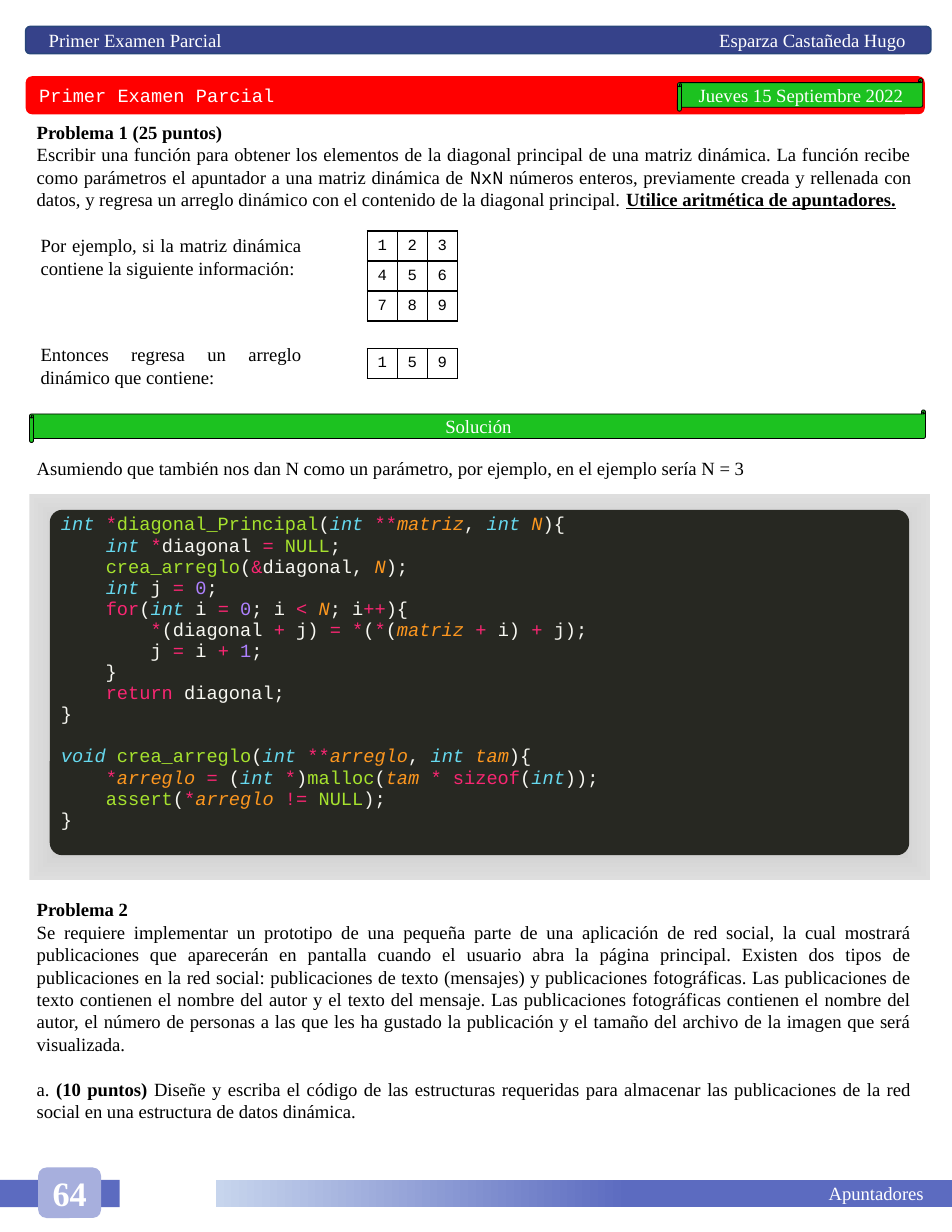
from pptx import Presentation
from pptx.dml.color import RGBColor
from pptx.enum.shapes import MSO_SHAPE
from pptx.enum.text import MSO_ANCHOR, PP_ALIGN
from pptx.oxml import parse_xml
from pptx.oxml.ns import nsdecls, qn
from pptx.util import Pt

COLORS = {
    "white": "FFFFFF", "black": "000000", "navy": "36428A", "navy_line": "28457A",
    "red": "FF0000", "green": "1CC220", "indigo": "5C6BC0", "lilac": "A7AFDD",
    "pale": "C7D5ED", "gray_in": "7B7B7B", "gray_mid": "BCBCBC", "gray_out": "DEDEDE",
    "editor": "272822",
}
# Syntax classes: type, operator, function, argument, number, plain
SYNTAX = {"t": "66D9EF", "o": "F92672", "f": "A6E22E",
          "a": "FD971F", "n": "AE81FF", "p": "F8F8F2"}
SERIF, MONO = "Times New Roman", "Courier New"
LINE = Pt(14.4)
NO_STYLE = "{2D5ABB26-0587-4C30-8999-92F81FD0307C}"

# Each code line is a list of class:text parts separated by ~
CODE = [
    "t:int ~o:*~f:diagonal_Principal~p:(~t:int ~o:**~a:matriz~p:, ~t:int ~a:N~p:){",
    "p:    ~t:int ~o:*~p:diagonal ~o:= ~f:NULL~p:;",
    "p:    ~f:crea_arreglo~p:(~o:&~p:diagonal, ~a:N~p:);",
    "p:    ~t:int~p: j ~o:= ~n:0~p:;",
    "p:    ~o:for~p:(~t:int~p: i ~o:= ~n:0~p:; i ~o:< ~a:N~p:; i~o:++~p:){",
    "p:        ~o:*~p:(diagonal ~o:+~p: j) ~o:= *~p:(~o:*~p:(~a:matriz ~o:+~p: i) ~o:+~p: j);",
    "p:        j ~o:=~p: i ~o:+ ~n:1~p:;",
    "p:    }",
    "p:    ~o:return~p: diagonal;",
    "p:}",
    "t:void ~f:crea_arreglo~p:(~t:int ~o:**~a:arreglo~p:, ~t:int ~a:tam~p:){",
    "p:    ~o:*~a:arreglo ~o:=~p: (~t:int ~o:*~p:)~f:malloc~p:(~a:tam ~o:* sizeof~p:(~t:int~p:));",
    "p:    ~f:assert~p:(~o:*~a:arreglo ~o:!= ~f:NULL~p:);",
    "p:}",
]


def rgb(name):
    return RGBColor.from_string(COLORS[name])


def set_font(font, color="black", name=SERIF, size=12, bold=False):
    font.name, font.size, font.bold = name, Pt(size), bold
    font.color.rgb = rgb(color)


def add_shape(s, kind, box, fill=None, line=None, weight=1):
    sp = s.shapes.add_shape(kind, *map(Pt, box))
    sp.shadow.inherit = False
    if fill:
        sp.fill.solid()
        sp.fill.fore_color.rgb = rgb(fill)
    if line:
        sp.line.color.rgb = rgb(line)
        sp.line.width = Pt(weight)
    else:
        sp.line.fill.background()
    return sp


def set_label(sp, text, align=PP_ALIGN.CENTER, **font):
    tf = sp.text_frame
    tf.vertical_anchor = MSO_ANCHOR.MIDDLE
    tf.margin_top = tf.margin_bottom = 0
    p = tf.paragraphs[0]
    p.text, p.alignment = text, align
    set_font(p.font, **{"color": "white", **font})
    return p


def set_gradient(sp, stops, direction):
    """Fill with (percent, color) stops and a direction element in XML."""
    gs = "".join(f'<a:gs pos="{pos * 1000}"><a:srgbClr val="{COLORS[c]}"/></a:gs>'
                 for pos, c in stops)
    sp.element.spPr.find(qn("a:prstGeom")).addnext(parse_xml(
        f'<a:gradFill {nsdecls("a")}><a:gsLst>{gs}</a:gsLst>{direction}</a:gradFill>'))


def add_text(s, box, paragraphs):
    """Justified text; each paragraph is a list of (text, style) runs."""
    tf = s.shapes.add_textbox(*map(Pt, box)).text_frame
    tf.word_wrap = True
    for i, runs in enumerate(paragraphs):
        p = tf.paragraphs[0] if i == 0 else tf.add_paragraph()
        p.alignment, p.line_spacing = PP_ALIGN.JUSTIFY, LINE
        set_font(p.font)
        for text, style in runs:
            r = p.add_run()
            r.text = text
            if style == "mono":
                r.font.name = MONO
            if "bold" in style:
                r.font.bold = True
            if "underline" in style:
                r.font.underline = True
    return tf


def add_plain_table(s, rows, cols, box):
    table = s.shapes.add_table(rows, cols, *map(Pt, box)).table
    table.first_row = table.horz_banding = False
    table._tbl.tblPr.find(qn("a:tableStyleId")).text = NO_STYLE
    return table


def add_array(s, box, values):
    table = add_plain_table(s, len(values), len(values[0]), box)
    for i, row in enumerate(values):
        for j, value in enumerate(row):
            cell = table.cell(i, j)
            cell.margin_left = cell.margin_right = 0
            cell.vertical_anchor = MSO_ANCHOR.MIDDLE
            cell.fill.background()
            p = cell.text_frame.paragraphs[0]
            p.text, p.alignment = str(value), PP_ALIGN.CENTER
            set_font(p.font, name=MONO, size=10)
            for k, side in enumerate("LRTB"):
                cell._tc.tcPr.insert(k, parse_xml(
                    f'<a:ln{side} {nsdecls("a")} w="12700"><a:solidFill>'
                    f'<a:srgbClr val="{COLORS["black"]}"/></a:solidFill></a:ln{side}>'))


def add_header(s, box):
    sp = add_shape(s, MSO_SHAPE.ROUNDED_RECTANGLE, box, "navy", "navy_line")
    sp.text_frame.margin_left = sp.text_frame.margin_right = Pt(14)
    p = set_label(sp, "", PP_ALIGN.LEFT)
    p._p.get_or_add_pPr().insert(0, parse_xml(
        f'<a:tabLst {nsdecls("a")}><a:tab pos="{Pt(551)}" algn="r"/></a:tabLst>'))
    p.text = "Primer Examen Parcial\tEsparza Castañeda Hugo"
    set_font(p.font, "white")


def add_scroll(s, box, text):
    set_label(add_shape(s, MSO_SHAPE.HORIZONTAL_SCROLL, box, "green", "black", 0.5), text)


def add_title_bar(s, box):
    x, y, w, h = box
    bar = add_shape(s, MSO_SHAPE.ROUNDED_RECTANGLE, box, "red")
    title = s.shapes.title
    title.left, title.top, title.width, title.height = map(Pt, (x + 1.5, y, w - 165, h))
    set_label(title, "Primer Examen Parcial", PP_ALIGN.LEFT, name=MONO)
    bar.element.addnext(title.element)
    add_scroll(s, (x + 419, y + 1.5, 157.7, 21), "Jueves 15 Septiembre 2022")


def add_examples(s, box):
    x, y, w, h = box
    items = [
        (0, 1.5, "Por ejemplo, si la matriz dinámica contiene la siguiente información:",
         [[1, 2, 3], [4, 5, 6], [7, 8, 9]]),
        (70, 77, "Entonces regresa un arreglo dinámico que contiene:", [[1, 5, 9]]),
    ]
    cell = 19.3
    for text_dy, array_dy, text, values in items:
        add_text(s, (x, y + text_dy, 182, 36), [[(text, "")]])
        add_array(s, (x + w - 3 * cell, y + array_dy, 3 * cell, cell * len(values)), values)


def add_code(s, box):
    x, y, w, h = box
    frame = add_shape(s, MSO_SHAPE.RECTANGLE, box)
    set_gradient(frame, [(11, "gray_in"), (61, "gray_mid"), (100, "gray_out")],
                 '<a:path path="rect"><a:fillToRect l="50000" t="50000" r="50000" b="50000"/></a:path>')
    inner = (x + 13, y + 10.3, w - 26.5, h - 26.5)
    panel = add_shape(s, MSO_SHAPE.ROUNDED_RECTANGLE, inner, "editor")
    panel.adjustments[0] = 0.036
    cell = add_plain_table(s, 1, 1, inner).cell(0, 0)
    cell.fill.background()
    tf = cell.text_frame
    for i, line in enumerate(CODE):
        p = tf.paragraphs[0] if i == 0 else tf.add_paragraph()
        p.font.name, p.font.size = MONO, Pt(12)
        if line.startswith("t:void"):
            p.space_before = Pt(13.6)
        for part in line.split("~"):
            kind, text = part.split(":", 1)
            r = p.add_run()
            r.text = text
            r.font.name, r.font.size = MONO, Pt(12)
            r.font.italic = kind in "ta"
            r.font.color.rgb = RGBColor.from_string(SYNTAX[kind])


def add_footer(s, box):
    x, y, w, h = box
    band = add_shape(s, MSO_SHAPE.RECTANGLE, (x + 139, y, w - 139, h))
    set_gradient(band, [(44, "indigo"), (100, "pale")], '<a:lin ang="10800000" scaled="0"/>')
    band.text_frame.margin_right = Pt(18)
    set_label(band, "Apuntadores", PP_ALIGN.RIGHT)
    add_shape(s, MSO_SHAPE.RECTANGLE, (x, y, 77, h), "indigo")
    badge = add_shape(s, MSO_SHAPE.ROUNDED_RECTANGLE, (x + 24.5, y - 8, 40.5, 32.5), "lilac")
    badge.text_frame.margin_left = badge.text_frame.margin_right = 0
    set_label(badge, "64", size=22, bold=True)


def main():
    prs = Presentation()
    prs.slide_width, prs.slide_height = Pt(612), Pt(792)
    s = prs.slides.add_slide(prs.slide_layouts[5])
    add_header(s, (16.5, 17, 582, 17.5))
    add_title_bar(s, (16.5, 49, 578, 24.5))
    add_text(s, (16.5, 74, 577, 65.5), [
        [("Problema 1 (25 puntos)", "bold")],
        [("Escribir una función para obtener los elementos de la diagonal principal de una matriz dinámica. La función recibe como parámetros el apuntador a una matriz dinámica de ", ""),
         ("NxN", "mono"),
         (" números enteros, previamente creada y rellenada con datos, y regresa un arreglo dinámico con el contenido de la diagonal principal. ", ""),
         ("Utilice aritmética de apuntadores.", "bold underline")]])
    add_examples(s, (19, 147, 275, 106))
    add_scroll(s, (19, 263.5, 576, 21), "Solución")
    add_text(s, (16.5, 290, 577, 21.5), [
        [("Asumiendo que también nos dan N como un parámetro, por ejemplo, en el ejemplo sería N = 3", "")]])
    add_code(s, (19, 317.5, 579, 248.5))
    tf = add_text(s, (16.5, 574, 577, 152.5), [
        [("Problema 2", "bold")],
        [("Se requiere implementar un prototipo de una pequeña parte de una aplicación de red social, la cual mostrará publicaciones que aparecerán en pantalla cuando el usuario abra la página principal. Existen dos tipos de publicaciones en la red social: publicaciones de texto (mensajes) y publicaciones fotográficas. Las publicaciones de texto contienen el nombre del autor y el texto del mensaje. Las publicaciones fotográficas contienen el nombre del autor, el número de personas a las que les ha gustado la publicación y el tamaño del archivo de la imagen que será visualizada.", "")],
        [("a. ", ""), ("(10 puntos) ", "bold"),
         ("Diseñe y escriba el código de las estructuras requeridas para almacenar las publicaciones de la red social en una estructura de datos dinámica.", "")]])
    tf.paragraphs[-1].space_before = LINE
    add_footer(s, (0, 758.5, 612, 17.5))
    prs.save("out.pptx")


if __name__ == "__main__":
    main()
